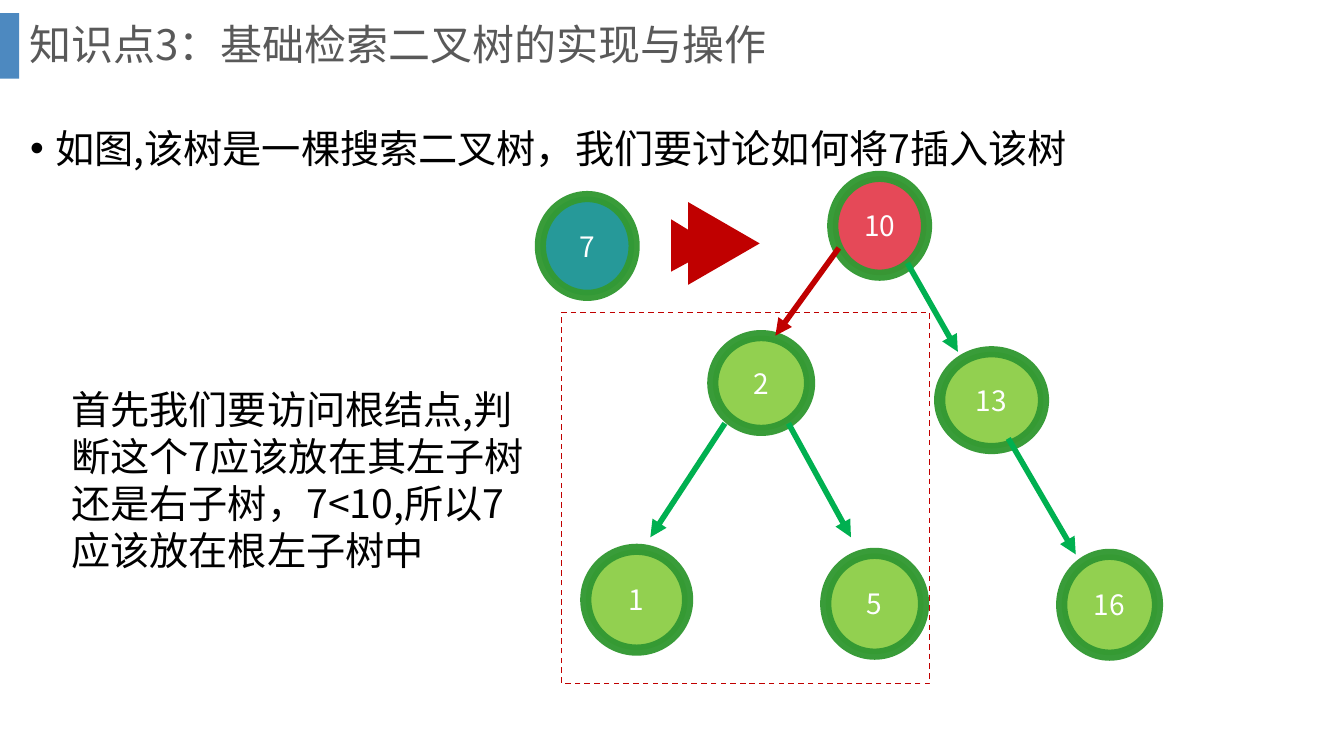
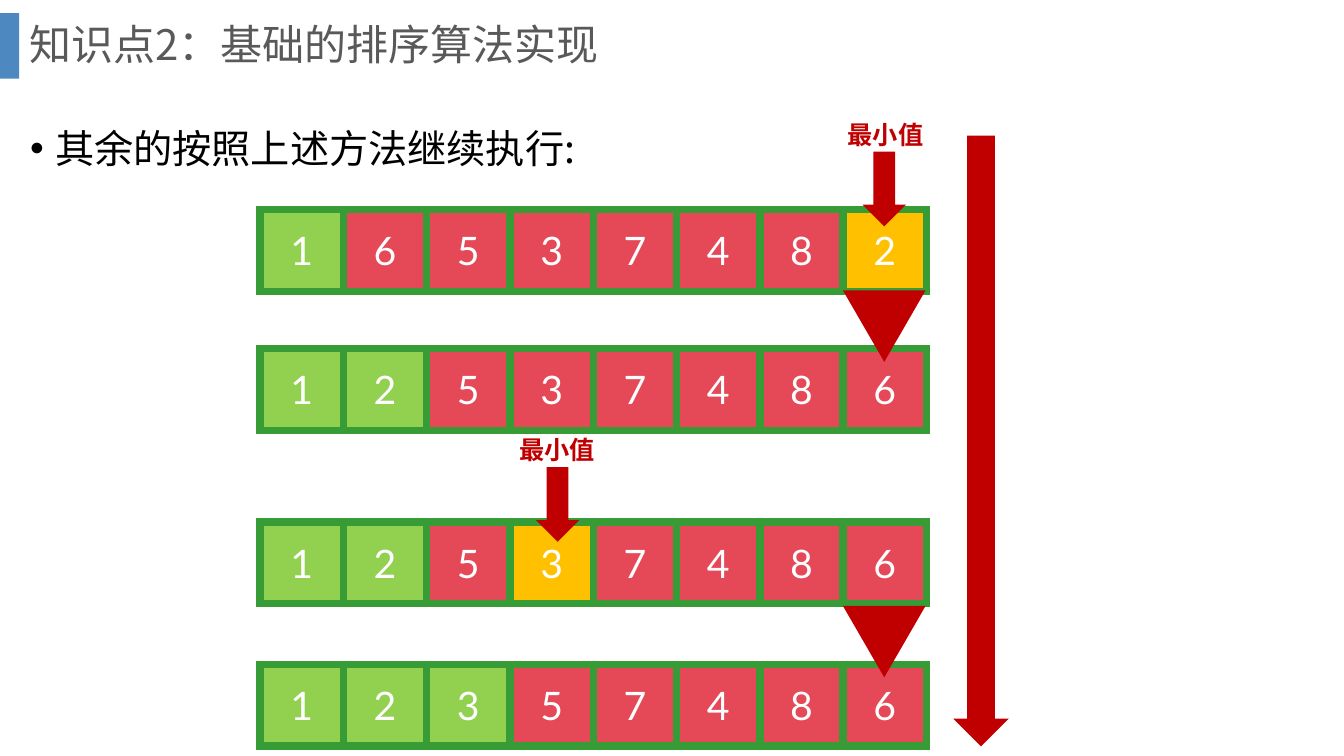
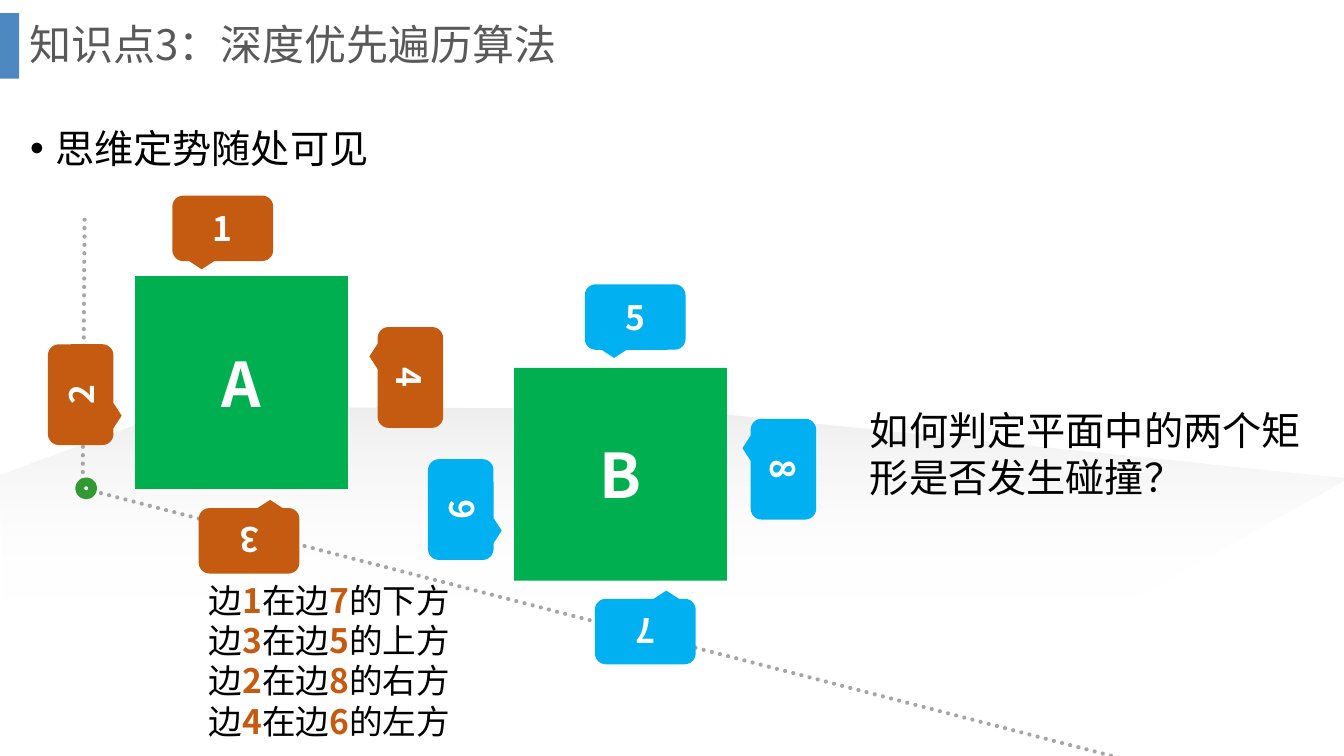
"""Build three teaching slides on search trees, selection sort and collision tests."""
from lxml import etree
from pptx import Presentation
from pptx.dml.color import RGBColor
from pptx.enum import dml, shapes, text
from pptx.oxml.ns import qn
from pptx.util import Inches, Pt

FACE = "Noto Sans CJK SC"
BLACK, WHITE, GREY = "000000", "FFFFFF", "595959"
RED, ROSE, GOLD = "C00000", "E54958", "FFC000"
LIME, GREEN, RIM, GRID = "92D050", "00B050", "339933", "379C35"
RUST, SKY, TEAL = "C55A11", "00B0F0", "269999"
KIND = shapes.MSO_SHAPE
rgb = RGBColor.from_string


def put(slide, box, words="", size=20, ink=WHITE, kind=None, fill=None,
        bold=False, turn=0, bullet=False):
    """Add a shape, or a text box if no kind is given; odd parts between bars are accented."""
    area = [Inches(n) for n in box]
    if kind is None:
        item = slide.shapes.add_textbox(*area)
    else:
        item = slide.shapes.add_shape(kind, *area)
        item.shadow.inherit = False
        item.line.fill.background()
        item.rotation = turn
        if fill:
            item.fill.solid()
            item.fill.fore_color.rgb = rgb(fill)
        else:
            item.fill.background()
    if not words:
        return item
    frame = item.text_frame
    frame.word_wrap = True
    frame.vertical_anchor = text.MSO_ANCHOR.MIDDLE if kind else text.MSO_ANCHOR.TOP
    for i, line in enumerate(words.split("\n")):
        para = frame.paragraphs[0] if i == 0 else frame.add_paragraph()
        para.alignment = text.PP_ALIGN.CENTER if kind else text.PP_ALIGN.LEFT
        if bullet:
            para.line_spacing = 1.5
            props = para._p.get_or_add_pPr()
            props.set("marL", str(Inches(0.25)))
            props.set("indent", str(Inches(-0.25)))
            etree.SubElement(props, qn("a:buFont"), typeface="Arial")
            etree.SubElement(props, qn("a:buChar"), char="•")
        font = para.font
        font.size, font.bold, font.name = Pt(size), bold, FACE
        font.color.rgb = rgb(ink)
        etree.SubElement(font._rPr, qn("a:ea"), typeface=FACE)
        for j, part in enumerate(line.split("|")):
            run = para.add_run()
            run.text = part
            if j % 2:
                run.font.bold = True
                run.font.color.rgb = rgb(RUST)
    return item


def link(slide, ends, ink, width, arrow=False):
    """Add a straight arrow or a round-dotted line."""
    wire = slide.shapes.add_connector(shapes.MSO_CONNECTOR.STRAIGHT, *[Inches(n) for n in ends])
    wire.line.color.rgb = rgb(ink)
    wire.line.width = Pt(width)
    edge = wire._element.xpath(".//a:ln")[0]
    if arrow:
        etree.SubElement(edge, qn("a:tailEnd"), type="triangle")
    else:
        wire.line.dash_style = dml.MSO_LINE.ROUND_DOT
        edge.set("cap", "rnd")
    etree.SubElement(wire._element.spPr, qn("a:effectLst"))


deck = Presentation()
deck.slide_width, deck.slide_height = Inches(13.33), Inches(7.5)

pages = []
for title, point in [
    ("知识点3：基础检索二叉树的实现与操作", "如图,该树是一棵搜索二叉树，我们要讨论如何将7插入该树"),
    ("知识点2：基础的排序算法实现", "其余的按照上述方法继续执行:"),
    ("知识点3：深度优先遍历算法", "思维定势随处可见"),
]:
    page = deck.slides.add_slide(deck.slide_layouts[6])
    band = put(page, (0, 0.13, 0.19, 0.65), kind=KIND.RECTANGLE, fill="2E75B6")
    tint = band._element.xpath("./p:spPr/a:solidFill/a:srgbClr")[0]
    etree.SubElement(tint, qn("a:alpha"), val="85000")
    head = put(page, (0.19, 0, 12.66, 0.93), title, 30, GREY)
    head.text_frame.vertical_anchor = text.MSO_ANCHOR.MIDDLE
    head.text_frame.paragraphs[0].line_spacing = 0.9
    put(page, (0.2, 0.95, 12.9, 5.96), point, 28, BLACK, bullet=True)
    pages.append(page)
tree, sort, clash = pages

for box, key, fill in [
    ((8.26, 1.75, 0.93, 0.98), "10", ROSE),
    ((7.07, 3.33, 0.96, 0.94), "2", LIME),
    ((9.32, 3.49, 1.03, 0.96), "13", LIME),
    ((5.81, 5.45, 1.01, 1), "1", LIME),
    ((8.19, 5.49, 0.97, 1), "5", LIME),
    ((10.53, 5.5, 0.95, 1), "16", LIME),
    ((5.36, 1.95, 0.93, 0.98), "7", TEAL),
]:
    node = put(tree, box, key, kind=KIND.OVAL, fill=fill)
    node.line.color.rgb = rgb(RIM)
    node.line.width = Pt(8)
    tint = node._element.xpath(".//a:ln//a:srgbClr")[0]
    etree.SubElement(tint, qn("a:alpha"), val="96000")
for ends, ink in [
    ((8.32, 2.46, 7.69, 3.33), RED),
    ((9, 2.61, 9.5, 3.49), GREEN),
    ((7.19, 4.2, 6.45, 5.33), GREEN),
    ((7.82, 4.2, 8.44, 5.33), GREEN),
    ((10, 4.35, 10.67, 5.5), GREEN),
]:
    link(tree, ends, ink, 4, arrow=True)
put(tree, (0.61, 3.77, 4.7, 1.99),
    "首先我们要访问根结点,判断这个7应该放在其左子树还是右子树，7<10,所以7应该放在根左子树中", 28, BLACK)
put(tree, (6.77, 2.06, 0.82, 0.71), kind=KIND.ISOSCELES_TRIANGLE, fill=RED, turn=90)
tip = put(tree, (6.62, 2.21, 0.52, 0.45), kind=KIND.ISOSCELES_TRIANGLE, fill=RED, turn=90)
tip.adjustments[0] = 0.53
frame = put(tree, (5.57, 3.1, 3.65, 3.68), kind=KIND.RECTANGLE)
frame.line.color.rgb = rgb(RED)
frame.line.width = Pt(1)
frame.line.dash_style = dml.MSO_LINE.DASH

for top, keys, done, least in [
    (2.08, "16537482", 1, 7),
    (3.46, "12537486", 2, None),
    (5.18, "12537486", 2, 3),
    (6.59, "12357486", 3, None),
]:
    grid = sort.shapes.add_table(1, 8, Inches(2.58), Inches(top), Inches(6.61), Inches(0.81)).table
    grid.first_row = grid.horz_banding = False
    for i, key in enumerate(keys):
        cell = grid.cell(0, i)
        cell.text = key
        cell.vertical_anchor = text.MSO_ANCHOR.MIDDLE
        para = cell.text_frame.paragraphs[0]
        para.alignment = text.PP_ALIGN.CENTER
        para.font.size, para.font.name = Pt(28), "Lato"
        para.font.color.rgb = rgb(WHITE)
        props = cell._tc.get_or_add_tcPr()
        for side in ("lnL", "lnR", "lnT", "lnB"):
            edge = etree.SubElement(props, qn("a:" + side), w=str(Pt(6)))
            paint = etree.SubElement(edge, qn("a:solidFill"))
            etree.SubElement(paint, qn("a:srgbClr"), val=GRID)
        cell.fill.solid()
        cell.fill.fore_color.rgb = rgb(LIME if i < done else GOLD if i == least else ROSE)
for left, top in [(8.31, 1.13), (5.05, 4.26)]:
    label = put(sort, (left, top, 0.96, 0.4), "最小值", 18, RED, bold=True)
    label.text_frame.word_wrap = False
for box in [(8.4, 1.66, 0.74, 0.43), (5.16, 4.79, 0.74, 0.43), (6.7, 4.1, 6.06, 0.55)]:
    put(sort, box, kind=KIND.RIGHT_ARROW, fill=RED, turn=90)
for top in (2.88, 6.01):
    put(sort, (8.36, top, 0.82, 0.71), kind=KIND.ISOSCELES_TRIANGLE, fill=RED, turn=180)

rim = [(Inches(x), Inches(y)) for x, y in
       [(0, 4.71), (1.85, 4.03), (6.64, 4.05), (13.37, 4.74), (11.1, 6.01), (0.03, 5.99)]]
pen = clash.shapes.build_freeform(*rim[0])
pen.add_line_segments(rim[1:], close=True)
floor = pen.convert_to_shape()
floor.shadow.inherit = False
floor.line.fill.background()
floor.fill.gradient()
floor.fill.gradient_angle = 90
for i, (ink, alpha) in enumerate([(WHITE, 0), ("808080", 14000)]):
    stop = floor.fill.gradient_stops[i]
    stop.position = i
    stop.color.rgb = rgb(ink)
    tint = floor._element.xpath(".//a:gs/a:srgbClr")[i]
    etree.SubElement(tint, qn("a:alpha"), val=str(alpha))
for ends in [(0.84, 4.85, 11.8, 7.7), (0.82, 4.85, 0.84, 2.11)]:
    link(clash, ends, "A6A6A6", 3)
for left, top, name in [(1.34, 2.74, "A"), (5.1, 3.65, "B")]:
    put(clash, (left, top, 2.11, 2.11), name, 44, kind=KIND.RECTANGLE, fill=GREEN, bold=True)
for left, top, name, turn, fill in [
    (1.71, 1.94, "1", 0, RUST),
    (0.3, 3.59, "2", 270, RUST),
    (1.97, 5.04, "3", 180, RUST),
    (3.57, 3.42, "4", 90, RUST),
    (5.8, 2.82, "5", 0, SKY),
    (4.07, 4.73, "6", 270, SKY),
    (5.9, 5.94, "7", 180, SKY),
    (7.27, 4.33, "8", 90, SKY),
]:
    put(clash, (left, top, 1, 0.65), name, 24, kind=KIND.ROUNDED_RECTANGULAR_CALLOUT,
        fill=fill, bold=True, turn=turn)
dot = put(clash, (0.79, 4.78, 0.13, 0.13), kind=KIND.OVAL, fill=WHITE)
dot.line.color.rgb = rgb(RIM)
dot.line.width = Pt(6.25)
put(clash, (1.97, 5.7, 3.95, 1.72),
    "边|1|在边|7|的下方\n边|3|在边|5|的上方\n边|2|在边|8|的右方\n边|4|在边|6|的左方", 24, BLACK)
put(clash, (8.53, 3.98, 4.68, 1.04), "如何判定平面中的两个矩形是否发生碰撞？", 28, BLACK)

deck.save("out.pptx")
